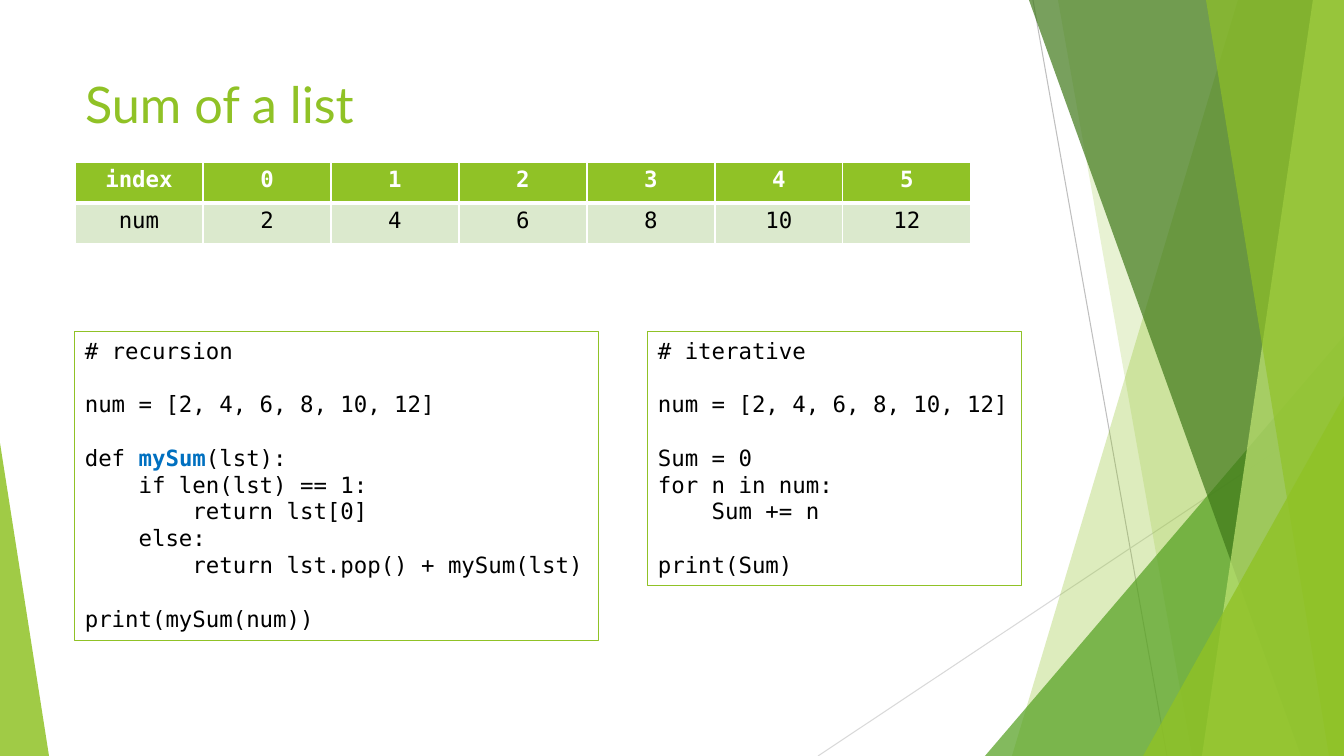
import pptx
import pptx.util
import pptx.dml.color
import pptx.enum.shapes
import pptx.enum.text
import pptx.oxml.ns
import pptx.oxml.xmlchemy

RGB = pptx.dml.color.RGBColor
GREEN = RGB(0x90, 0xC2, 0x26)
LEAF = RGB(0x54, 0xA0, 0x21)
FOREST = RGB(0x3F, 0x78, 0x19)
LIME = RGB(0xC0, 0xE4, 0x74)
PALE = RGB(0xDB, 0xE9, 0xCD)
BLUE = RGB(0x00, 0x70, 0xC0)
WHITE = RGB(0xFF, 0xFF, 0xFF)
BLACK = RGB(0, 0, 0)
GREY = RGB(0xBF, 0xBF, 0xBF)
LIGHT_GREY = RGB(0xD9, 0xD9, 0xD9)
TITLE_FONT, CODE_FONT = "Lato", "DejaVu Sans Mono"
SLIDE_W, SLIDE_H = 1344, 756
CODE_SIZE, CODE_GAP = 16, 19

TITLE = "Sum of a list"
ROWS = [
    ["index", "0", "1", "2", "3", "4", "5"],
    ["num", "2", "4", "6", "8", "10", "12"],
]
ROW_STYLES = [(GREEN, WHITE, True, (1, 1, 1, 3)), (PALE, BLACK, False, (1, 1, 3, 1))]
TABLE_X, TABLE_Y, COL_W, ROW_H = 75, 162, 128, 41

RECURSION = """# recursion

num = [2, 4, 6, 8, 10, 12]

def mySum(lst):
    if len(lst) == 1:
        return lst[0]
    else:
        return lst.pop() + mySum(lst)

print(mySum(num))"""
ITERATIVE = """# iterative

num = [2, 4, 6, 8, 10, 12]

Sum = 0
for n in num:
    Sum += n

print(Sum)"""
CODE_BOXES = [
    (RECURSION, (75, 332, 524, 309)),
    (ITERATIVE, (648, 332, 374, 254)),
]

RAYS = [((1033, 0), (1167, 756), GREY), ((1344, 406), (818, 756), LIGHT_GREY)]
FACETS = [
    ("band", (1238, 1012), GREEN, 30),
    ("band", (1058, 1192), GREEN, 20),
    ("triangle", (985, 336, 359, 420, 1), LEAF, 72),
    ("band", (1029, 1301), FOREST, 70),
    ("band", (1313, 1202), LIME, 70),
    ("band", (1206, 1329), GREEN, 65),
    ("triangle", (1143, 396, 201, 360, 1), GREEN, 80),
    ("triangle", (0, 443, 49, 313, 0), GREEN, 85),
]


def emu(*lengths):
    return [round(n * 12192000 / SLIDE_W) for n in lengths]


def add_child(parent, tag, **attrs):
    child = pptx.oxml.xmlchemy.OxmlElement(tag)
    for name, value in attrs.items():
        child.set(name, str(value))
    parent.append(child)
    return child


def add_ray(s, start, end, color):
    line = s.shapes.add_connector(
        pptx.enum.shapes.MSO_CONNECTOR.STRAIGHT, *emu(*start, *end))
    line.line.color.rgb = color
    line.line.width = pptx.util.Pt(0.75)
    add_child(line.element.spPr, "a:effectLst")


def add_facet(s, kind, geometry, color, alpha):
    if kind == "band":
        top, bottom = geometry
        corners = [(SLIDE_W, 0), (SLIDE_W, SLIDE_H), (bottom, SLIDE_H)]
        builder = s.shapes.build_freeform(*emu(top, 0))
        builder.add_line_segments([emu(*c) for c in corners], close=True)
        sp = builder.convert_to_shape()
    else:
        *box, apex = geometry
        sp = s.shapes.add_shape(
            pptx.enum.shapes.MSO_SHAPE.ISOSCELES_TRIANGLE, *emu(*box))
        sp.adjustments[0] = apex
    sp.shadow.inherit = False
    sp.fill.solid()
    sp.fill.fore_color.rgb = color
    sp.line.fill.background()
    clr = sp.element.spPr.find(".//" + pptx.oxml.ns.qn("a:srgbClr"))
    add_child(clr, "a:alpha", val=alpha * 1000)


def add_run(p, text, font, size, color, bold=False):
    r = p.add_run()
    r.text = text
    r.font.name = font
    r.font.size = pptx.util.Pt(size)
    r.font.color.rgb = color
    r.font.bold = bold


def add_title(s):
    sp = s.shapes.title
    sp.left, sp.top, sp.width, sp.height = emu(75, 68, 948, 145)
    tf = sp.text_frame
    tf.word_wrap = True
    tf.vertical_anchor = pptx.enum.text.MSO_ANCHOR.TOP
    p = tf.paragraphs[0]
    p.alignment = pptx.enum.text.PP_ALIGN.LEFT
    add_run(p, TITLE, TITLE_FONT, 36, GREEN)


def set_borders(cell, widths):
    tcPr = cell._tc.get_or_add_tcPr()
    for side, width in zip("LRTB", widths):
        ln = add_child(tcPr, "a:ln" + side, w=pptx.util.Pt(width))
        fill = add_child(ln, "a:solidFill")
        add_child(fill, "a:srgbClr", val=WHITE)


def add_index_table(s):
    box = emu(TABLE_X, TABLE_Y, COL_W * len(ROWS[0]), ROW_H * len(ROWS))
    table = s.shapes.add_table(len(ROWS), len(ROWS[0]), *box).table
    for col in table.columns:
        col.width = emu(COL_W)[0]
    for i, (values, style) in enumerate(zip(ROWS, ROW_STYLES)):
        fill, color, bold, borders = style
        table.rows[i].height = emu(ROW_H)[0]
        for j, value in enumerate(values):
            cell = table.cell(i, j)
            set_borders(cell, borders)
            cell.fill.solid()
            cell.fill.fore_color.rgb = fill
            p = cell.text_frame.paragraphs[0]
            p.alignment = pptx.enum.text.PP_ALIGN.CENTER
            add_run(p, value, CODE_FONT, CODE_SIZE, color, bold)


def add_code(s, code, box):
    sp = s.shapes.add_textbox(*emu(*box))
    sp.line.color.rgb = GREEN
    sp.line.width = pptx.util.Pt(0.75)
    tf = sp.text_frame
    tf.word_wrap = True
    p = tf.paragraphs[0]
    for i, block in enumerate(code.split("\n\n")):
        for j, line in enumerate(block.split("\n")):
            if i or j:
                p = tf.add_paragraph()
            if i and not j:
                p.space_before = pptx.util.Pt(CODE_GAP)
            if line.startswith("def "):
                name, rest = line[4:].split("(", 1)
                add_run(p, "def ", CODE_FONT, CODE_SIZE, BLACK)
                add_run(p, name, CODE_FONT, CODE_SIZE, BLUE, True)
                add_run(p, "(" + rest, CODE_FONT, CODE_SIZE, BLACK)
            else:
                add_run(p, line, CODE_FONT, CODE_SIZE, BLACK)


def main():
    prs = pptx.Presentation()
    prs.slide_width, prs.slide_height = emu(SLIDE_W, SLIDE_H)
    s = prs.slides.add_slide(prs.slide_layouts[5])
    for ray in RAYS:
        add_ray(s, *ray)
    for facet in FACETS:
        add_facet(s, *facet)
    add_title(s)
    add_index_table(s)
    for code, box in CODE_BOXES:
        add_code(s, code, box)
    prs.save("out.pptx")


if __name__ == "__main__":
    main()
